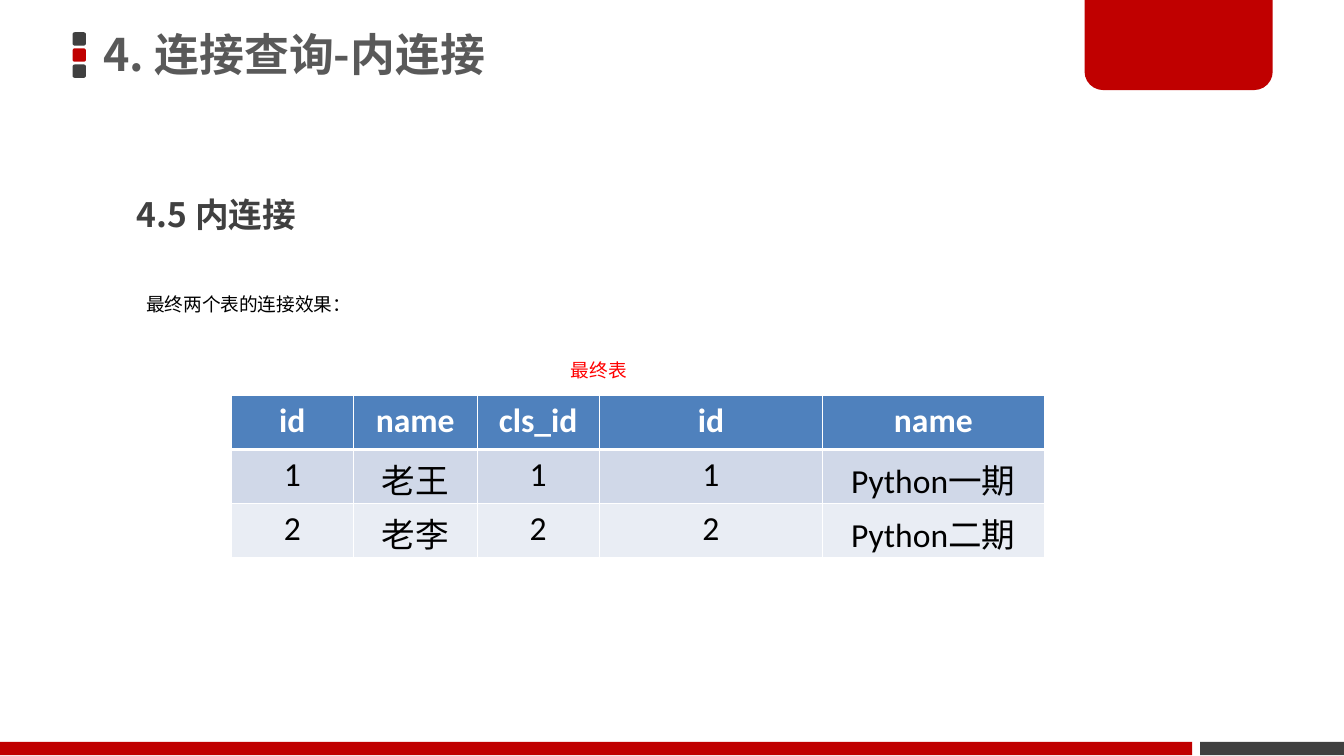
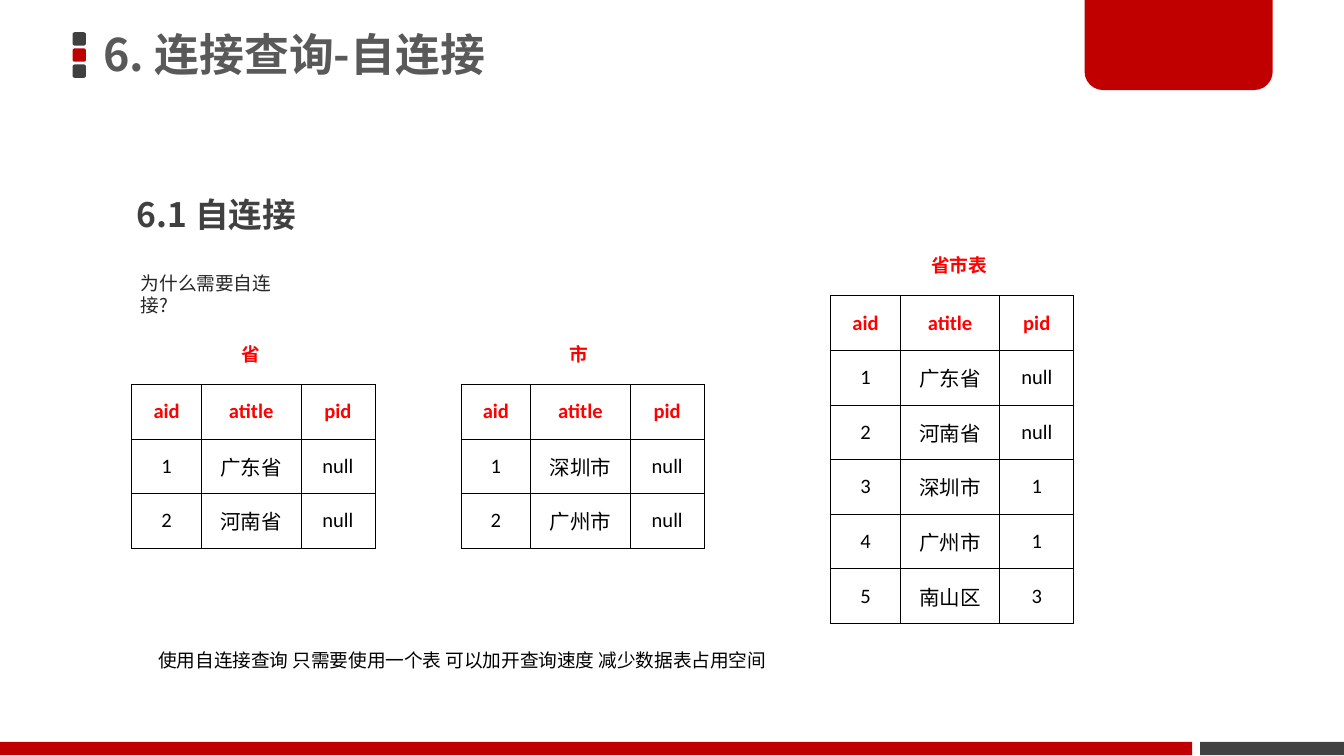
from dataclasses import dataclass

import lxml.etree
import pptx
import pptx.dml.color
import pptx.enum.shapes
import pptx.enum.text
import pptx.oxml.ns
import pptx.slide
import pptx.text.text
import pptx.util

Inches = pptx.util.Inches
RGBColor = pptx.dml.color.RGBColor
SHAPE = pptx.enum.shapes.MSO_SHAPE
ANCHOR = pptx.enum.text.MSO_ANCHOR
ALIGN = pptx.enum.text.PP_ALIGN
AUTO_SIZE = pptx.enum.text.MSO_AUTO_SIZE

# Colours and fonts
BRAND_RED = RGBColor(0xC0, 0x00, 0x00)
DARK_GREY = RGBColor(0x40, 0x40, 0x40)
TITLE_GREY = RGBColor(0x59, 0x59, 0x59)
QUESTION_GREY = RGBColor(0x26, 0x26, 0x26)
LABEL_RED = RGBColor(0xFF, 0x00, 0x00)
BLACK = RGBColor(0x00, 0x00, 0x00)
WHITE = RGBColor(0xFF, 0xFF, 0xFF)
HEADER_BLUE = RGBColor(0x4F, 0x81, 0xBD)
BAND_DARK = RGBColor(0xD0, 0xD8, 0xE8)
BAND_LIGHT = RGBColor(0xE9, 0xED, 0xF4)
CJK_FONT = "Noto Sans CJK SC"
TABLE_FONT = "Calibri"


@dataclass(frozen=True)
class TextStyle:
    size: float
    color: RGBColor
    bold: bool = False
    font: str = CJK_FONT


@dataclass(frozen=True)
class Block:
    """A filled shape of the page frame."""
    left: float
    top: float
    width: float
    height: float
    color: RGBColor
    kind: SHAPE = SHAPE.RECTANGLE
    adjustments: tuple[float, ...] = ()


@dataclass(frozen=True)
class Label:
    text: str
    left: float
    top: float
    width: float
    style: TextStyle
    height: float = 0.27
    wrap: bool = False
    line_spacing: float = 1.0


@dataclass(frozen=True)
class TableStyle:
    header: TextStyle
    body: TextStyle
    fills: tuple[RGBColor, ...]  # header, then one per body row; empty for none
    border: RGBColor
    header_rule: float  # line width under the header row
    anchor: ANCHOR
    margins: tuple[float, float, float, float]  # left, top, right, bottom


@dataclass(frozen=True)
class Grid:
    left: float
    top: float
    height: float
    columns: tuple[float, ...]
    rows: tuple[tuple[str, ...], ...]
    style: TableStyle


TITLE = TextStyle(24, TITLE_GREY, True)
HEADING = TextStyle(18, DARK_GREY, True)
NOTE = TextStyle(10, BLACK)
QUESTION = TextStyle(10, QUESTION_GREY)
CAPTION = TextStyle(10, LABEL_RED)
BOLD_CAPTION = TextStyle(10, LABEL_RED, True)
THIN = 0.45

BANDED = TableStyle(
    TextStyle(18, WHITE, True, TABLE_FONT), TextStyle(18, BLACK, False, TABLE_FONT),
    (HEADER_BLUE, BAND_DARK, BAND_LIGHT), WHITE, 1.47,
    ANCHOR.TOP, (0.07, 0.04, 0.07, 0))
OUTLINED = TableStyle(
    TextStyle(11, LABEL_RED, True, TABLE_FONT), TextStyle(11, BLACK, False, TABLE_FONT),
    (), BLACK, THIN, ANCHOR.MIDDLE, (0.1, 0.05, 0.1, 0.05))

# Page frame
MARKERS = [Block(0.54, 0.24 + 0.12 * index, 0.1, 0.1, color,
                 SHAPE.ROUNDED_RECTANGLE, (0.167,))
           for index, color in enumerate((DARK_GREY, BRAND_RED, DARK_GREY))]
BANDS = [
    Block(8.93, 5.52, 1.07, 0.1, DARK_GREY),
    Block(8.07, -0.02, 1.4, 0.69, BRAND_RED, SHAPE.ROUND_2_SAME_RECTANGLE, (0, 0.2)),
    Block(0, 5.52, 8.87, 0.1, BRAND_RED),
]


def add_span(para: pptx.text.text._Paragraph, text: str, style: TextStyle) -> None:
    span = para.add_run()
    span.text = text
    span.font.size = pptx.util.Pt(style.size)
    span.font.bold = style.bold
    span.font.name = style.font
    span.font.color.rgb = style.color
    east_asian = lxml.etree.Element(pptx.oxml.ns.qn("a:ea"), typeface=CJK_FONT)
    span.font._element.find(pptx.oxml.ns.qn("a:latin")).addnext(east_asian)


def set_margins(target, left: float, top: float, right: float, bottom: float) -> None:
    target.margin_left, target.margin_top = Inches(left), Inches(top)
    target.margin_right, target.margin_bottom = Inches(right), Inches(bottom)


def draw_block(shapes, block: Block) -> None:
    shape = shapes.add_shape(block.kind, Inches(block.left), Inches(block.top),
                             Inches(block.width), Inches(block.height))
    for index, value in enumerate(block.adjustments):
        shape.adjustments[index] = value
    shape.shadow.inherit = False
    shape.fill.solid()
    shape.fill.fore_color.rgb = block.color
    shape.line.fill.background()


def draw_label(page: pptx.slide.Slide, label: Label) -> None:
    box = page.shapes.add_textbox(Inches(label.left), Inches(label.top),
                                  Inches(label.width), Inches(label.height))
    frame = box.text_frame
    frame.word_wrap = label.wrap
    frame.auto_size = AUTO_SIZE.SHAPE_TO_FIT_TEXT
    para = frame.paragraphs[0]
    para.line_spacing = label.line_spacing
    add_span(para, label.text, label.style)


def set_borders(cell, color: RGBColor, top: float, bottom: float) -> None:
    properties = cell._tc.get_or_add_tcPr()
    sides = (("lnL", THIN), ("lnR", THIN), ("lnT", top), ("lnB", bottom))
    for index, (side, width) in enumerate(sides):
        line = lxml.etree.Element(pptx.oxml.ns.qn(f"a:{side}"), w=str(int(pptx.util.Pt(width))))
        fill = lxml.etree.SubElement(line, pptx.oxml.ns.qn("a:solidFill"))
        lxml.etree.SubElement(fill, pptx.oxml.ns.qn("a:srgbClr"), val=str(color))
        properties.insert(index, line)


def draw_grid(page: pptx.slide.Slide, grid: Grid) -> None:
    style = grid.style
    table = page.shapes.add_table(
        len(grid.rows), len(grid.columns), Inches(grid.left), Inches(grid.top),
        Inches(sum(grid.columns)), Inches(grid.height)).table
    table.first_row = table.horz_banding = False
    for column, width in zip(table.columns, grid.columns):
        column.width = Inches(width)
    for row_index, texts in enumerate(grid.rows):
        table.rows[row_index].height = Inches(grid.height / len(grid.rows))
        for column_index, text in enumerate(texts):
            cell = table.cell(row_index, column_index)
            if style.fills:
                cell.fill.solid()
                cell.fill.fore_color.rgb = style.fills[row_index]
            else:
                cell.fill.background()
            set_borders(cell, style.border,
                        top=style.header_rule if row_index == 1 else THIN,
                        bottom=style.header_rule if row_index == 0 else THIN)
            cell.vertical_anchor = style.anchor
            set_margins(cell, *style.margins)
            para = cell.text_frame.paragraphs[0]
            para.alignment = ALIGN.CENTER
            add_span(para, text, style.body if row_index else style.header)


def add_page(deck, title: str, heading: str) -> pptx.slide.Slide:
    page = deck.slides.add_slide(deck.slide_layouts[5])
    # Frame
    markers = page.shapes.add_group_shape()
    for marker in MARKERS:
        draw_block(markers.shapes, marker)
    for band in BANDS:
        draw_block(page.shapes, band)
    # Title
    box = page.shapes.title
    box.left, box.top = Inches(0.69), Inches(-0.02)
    box.width, box.height = Inches(5.89), Inches(0.89)
    frame = box.text_frame
    frame.auto_size = AUTO_SIZE.NONE
    frame.vertical_anchor = ANCHOR.MIDDLE
    set_margins(frame, 0.08, 0.04, 0.08, 0.04)
    para = frame.paragraphs[0]
    para.alignment = ALIGN.LEFT
    para.line_spacing = 0.9
    add_span(para, title, TITLE)
    # Section heading
    draw_label(page, Label(heading, 0.92, 1.24, 3.84, HEADING, 0.55, True, 1.5))
    return page


def add_inner_join(deck) -> None:
    page = add_page(deck, "4. 连接查询-内连接", "4.5 内连接")
    draw_label(page, Label("最终两个表的连接效果：", 0.99, 2.13, 1.72, NOTE))
    draw_label(page, Label("最终表", 4.15, 2.62, 0.63, CAPTION))
    students = (("id", "name", "cls_id"), ("1", "老王", "1"), ("2", "老李", "2"))
    classes = (("id", "name"), ("1", "Python一期"), ("2", "Python二期"))
    draw_grid(page, Grid(1.72, 2.94, 1.21, (0.91, 0.92, 0.91), students, BANDED))
    draw_grid(page, Grid(4.46, 2.94, 1.21, (1.66, 1.65), classes, BANDED))


def add_self_join(deck) -> None:
    page = add_page(deck, "6. 连接查询-自连接", "6.1 自连接")
    header = ("aid", "atitle", "pid")
    provinces = (("1", "广东省", "null"), ("2", "河南省", "null"))
    cities = (("1", "深圳市", "null"), ("2", "广州市", "null"))
    regions = provinces + (("3", "深圳市", "1"), ("4", "广州市", "1"), ("5", "南山区", "3"))
    columns = (0.52, 0.74, 0.55)
    for left, top, height, rows in ((0.98, 2.86, 1.22, provinces),
                                    (3.43, 2.86, 1.22, cities),
                                    (6.18, 2.2, 2.44, regions)):
        draw_grid(page, Grid(left, top, height, columns, (header, *rows), OUTLINED))
    for label in (
        Label("为什么需要自连接?", 0.95, 1.97, 1.25, QUESTION, wrap=True),
        Label("省市表", 6.83, 1.84, 0.63, BOLD_CAPTION),
        Label("使用自连接查询 只需要使用一个表 可以加开查询速度 减少数据表占用空间",
              1.08, 4.78, 4.73, NOTE),
        Label("省", 1.7, 2.5, 0.34, BOLD_CAPTION),
        Label("市", 4.14, 2.5, 0.34, BOLD_CAPTION),
    ):
        draw_label(page, label)


def main() -> None:
    deck = pptx.Presentation()
    # Widescreen, 16:9
    deck.slide_width = Inches(10)
    deck.slide_height = Inches(10 * 9 / 16)
    add_inner_join(deck)
    add_self_join(deck)
    deck.save("out.pptx")


if __name__ == "__main__":
    main()
